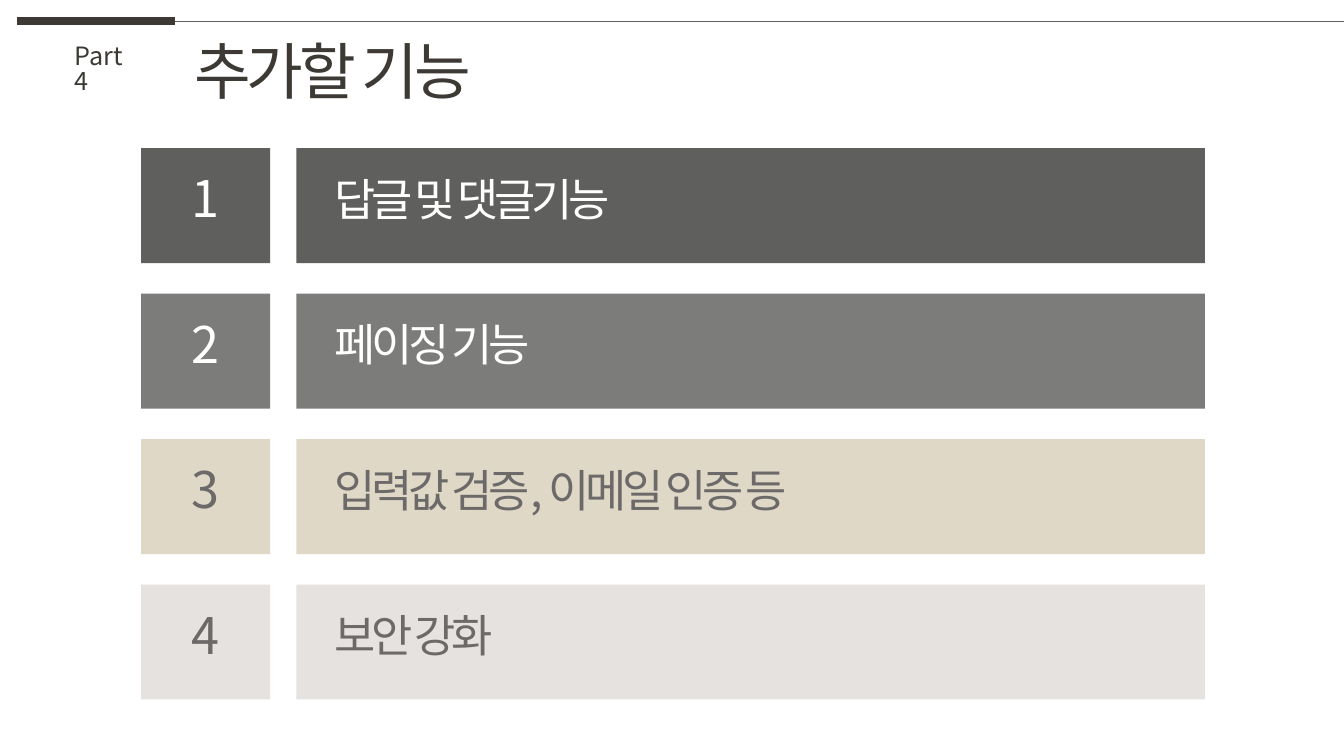
import dataclasses

import pptx
import pptx.dml.color
import pptx.enum.shapes
import pptx.enum.text
import pptx.util
from lxml import etree

IN = pptx.util.Inches
CENTER = pptx.enum.text.PP_ALIGN.CENTER


@dataclasses.dataclass(frozen=True)
class Theme:
    font: str = "Noto Sans CJK KR"
    ink: str = "3D3A35"
    dark: str = "5F5F5D"
    gray: str = "7C7C7A"
    beige: str = "DFD8C7"
    pale: str = "E5E2E0"
    white: str = "FFFFFF"
    soft: str = "6C6969"
    label_size: int = 18
    item_size: int = 32
    number_size: int = 36
    title_size: int = 44
    tracking: int = -300
    leading: float = 0.83


THEME = Theme()
ITEMS = [
    ("답글 및 댓글기능", THEME.dark, THEME.white),
    ("페이징 기능", THEME.gray, THEME.white),
    ("입력값 검증, 이메일 인증 등", THEME.beige, THEME.soft),
    ("보안 강화", THEME.pale, THEME.soft),
]


def rgb(value):
    return pptx.dml.color.RGBColor.from_string(value)


def add_text(s, box, text, size, color, align=None, wrap=True, tracking=THEME.tracking):
    tf = s.shapes.add_textbox(*map(IN, box)).text_frame
    # The top inset balances the tightened first line.
    frame = {"word_wrap": wrap, "margin_top": IN(0.05) + pptx.util.Pt(size * 0.066)}
    for name, value in frame.items():
        setattr(tf, name, value)
    p = tf.paragraphs[0]
    p.alignment, p.line_spacing = align, THEME.leading
    r = p.add_run()
    r.text = text
    for name, value in {"name": THEME.font, "size": pptx.util.Pt(size)}.items():
        setattr(r.font, name, value)
    r.font.color.rgb = rgb(color)
    rpr = r._r.get_or_add_rPr()
    if tracking:
        rpr.set("spc", str(tracking))
    ea = etree.SubElement(rpr, pptx.oxml.ns.qn("a:ea"))
    ea.set("typeface", THEME.font)


def add_rule(s, left, right, y, color, width):
    line = s.shapes.add_connector(
        pptx.enum.shapes.MSO_CONNECTOR.STRAIGHT, IN(left), IN(y), IN(right), IN(y))
    line.line.color.rgb = rgb(color)
    line.line.width = pptx.util.Pt(width)
    etree.SubElement(line._element.spPr, pptx.oxml.ns.qn("a:effectLst"))


def add_block(s, box, color):
    sp = s.shapes.add_shape(pptx.enum.shapes.MSO_SHAPE.RECTANGLE, *map(IN, box))
    sp.shadow.inherit = False
    sp.fill.solid()
    sp.fill.fore_color.rgb = rgb(color)
    sp.line.fill.background()


def add_header(s, left, top, width):
    split = left + 1.57
    add_rule(s, left, split, top, THEME.ink, 6)
    add_rule(s, split, left + width, top, THEME.dark, 0.5)
    add_text(s, (left + 0.47, top + 0.17, 0.84, 0.4), "Part 4",
             THEME.label_size, THEME.ink, tracking=None)
    add_text(s, (left + 1.66, top + 0.15, 3.24, 0.84), "추가할 기능",
             THEME.title_size, THEME.ink)


def add_item(s, box, number, text, fill, color):
    left, top, width, height = box
    label = left + 1.54
    add_block(s, (left, top, 1.28, height), fill)
    add_block(s, (label, top, left + width - label, height), fill)
    add_text(s, (left + 0.4, top + 0.21, 0.43, 0.71), str(number),
             THEME.number_size, color, CENTER, wrap=False)
    add_text(s, (label + 0.28, top + 0.24, 5.18, 0.64), text, THEME.item_size, color)


def add_list(s, left, top, width, height):
    row = 1.14
    pitch = (height - row) / (len(ITEMS) - 1)
    for i, item in enumerate(ITEMS):
        add_item(s, (left, top + i * pitch, width, row), i + 1, *item)


def main():
    prs = pptx.Presentation()
    prs.slide_width, prs.slide_height = IN(13.33), IN(7.5)
    s = prs.slides.add_slide(prs.slide_layouts[6])
    add_header(s, 0.17, 0.21, 13.16)
    add_list(s, 1.4, 1.47, 10.55, 5.47)
    prs.save("out.pptx")


if __name__ == "__main__":
    main()
